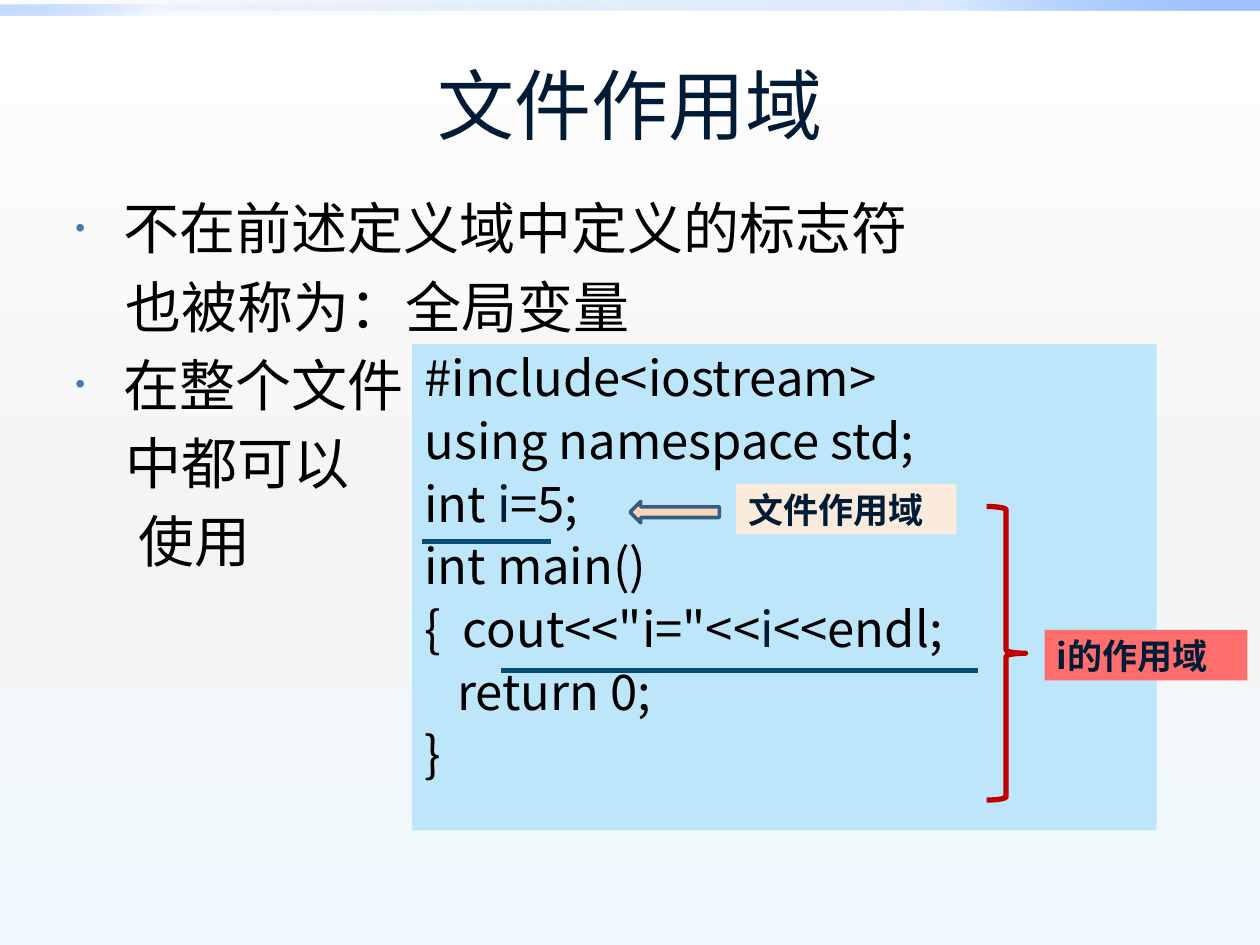
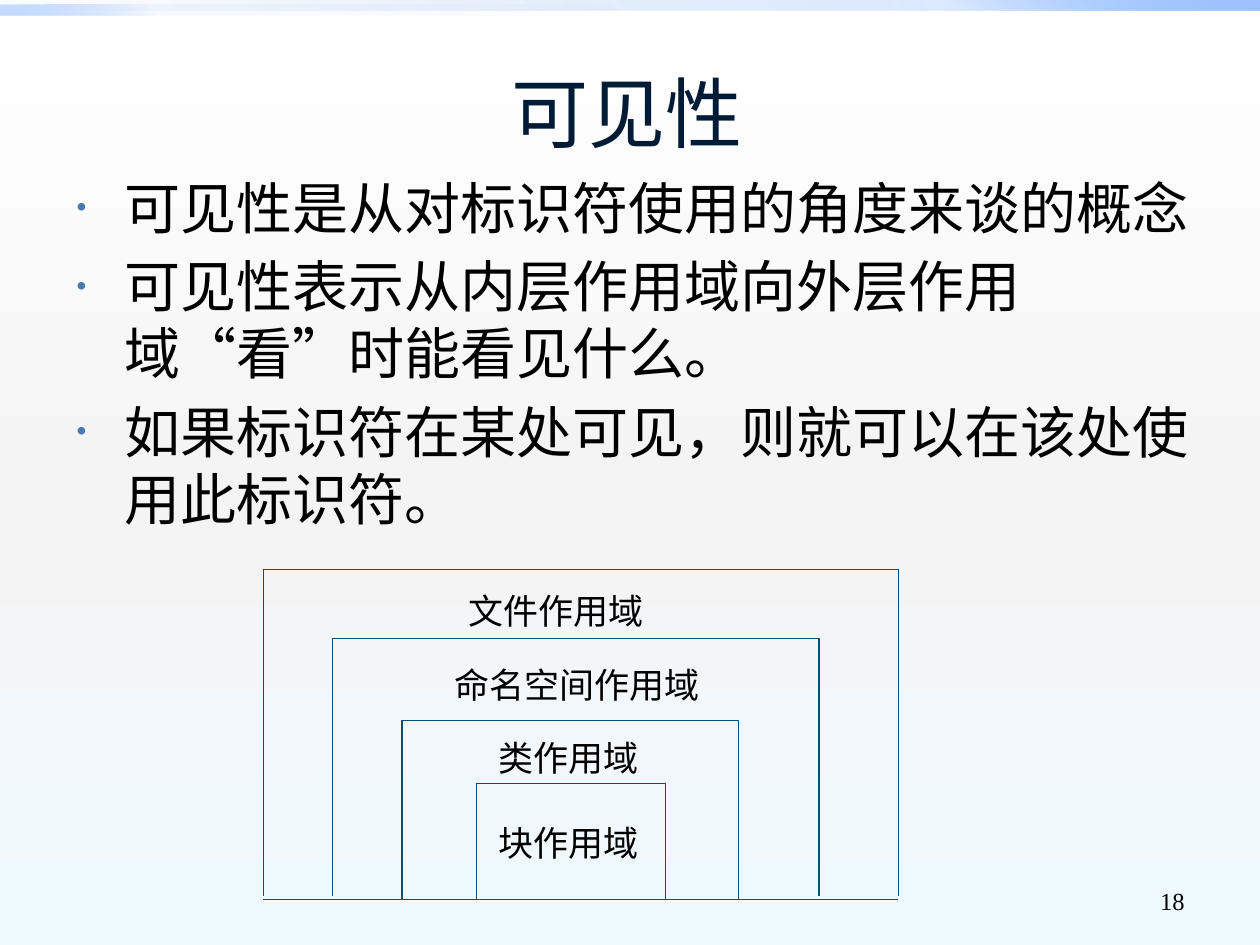
import dataclasses
import lxml.etree
import pptx
import pptx.dml.color
import pptx.enum.shapes
import pptx.enum.text
import pptx.oxml.ns
import pptx.util

Inches = pptx.util.Inches
Pt = pptx.util.Pt
qn = pptx.oxml.ns.qn
SHAPE = pptx.enum.shapes.MSO_SHAPE
ALIGN = pptx.enum.text.PP_ALIGN
ANCHOR = pptx.enum.text.MSO_ANCHOR


@dataclasses.dataclass(frozen=True)
class Theme:
    ink: str = "000000"
    navy: str = "001B36"
    line: str = "064E74"
    bullet: str = "477AB1"
    code_fill: str = "BEE6FB"
    tag_fill: str = "FAEBDD"
    arrow_fill: str = "F6D7BA"
    arrow_line: str = "355A83"
    scope_fill: str = "FF6D6D"
    brace: str = "C00000"
    backdrop: tuple = ((0, "FFFFFF", 100), (55, "F4F4F4", 100), (100, "EEF9FF", 100))
    wide_band: tuple = ((0, "0058B7", 0), (75, "4F95FF", 20), (100, "9EC2FF", 100))
    half_band: tuple = ((0, "0058B7", 0), (75, "4F95FF", 5), (100, "9EC2FF", 60))
    title_font: str = "Roboto"
    body_font: str = "Cambria"
    cjk_font: str = "Noto Sans CJK SC"
    label_font: str = "Times New Roman"
    title_size: int = 44
    body_size: int = 32
    code_size: int = 28
    label_size: int = 20
    number_size: int = 14


def rgb(value):
    return pptx.dml.color.RGBColor.from_string(value)


def add_xml(parent, tag, **attrs):
    return lxml.etree.SubElement(parent, qn(tag), {k: str(v) for k, v in attrs.items()})


class Deck:
    def __init__(self, theme):
        self.theme = theme
        self.prs = pptx.Presentation()
        self.prs.slide_width = Inches(10)
        self.prs.slide_height = Inches(7.5)
        self.s = None

    def new_slide(self):
        t = self.theme
        self.s = self.prs.slides.add_slide(self.prs.slide_layouts[6])
        self.gradient(self.s.background.fill, t.backdrop, 90)
        for top, width, stops, angle in ((0, 10, t.wide_band, 315), (0.04, 5, t.half_band, 135)):
            sp = self.shape(SHAPE.RECTANGLE, 0, top, width, 0.08)
            self.gradient(sp.fill, stops, angle)

    def gradient(self, fill, stops, angle):
        fill.gradient()
        grad = fill._fill._gradFill
        for child in list(grad):
            grad.remove(child)
        gs_list = add_xml(grad, "a:gsLst")
        for pos, color, alpha in stops:
            gs = add_xml(gs_list, "a:gs", pos=pos * 1000)
            clr = add_xml(gs, "a:srgbClr", val=color)
            if alpha < 100:
                add_xml(clr, "a:alpha", val=alpha * 1000)
        add_xml(grad, "a:lin", ang=angle * 60000, scaled=0)

    def style(self, sp, fill=None, line=None, weight=0.75):
        sp.shadow.inherit = False
        if fill:
            sp.fill.solid()
            sp.fill.fore_color.rgb = rgb(fill)
        else:
            sp.fill.background()
        if line:
            sp.line.color.rgb = rgb(line)
            sp.line.width = Pt(weight)
        else:
            sp.line.fill.background()
        return sp

    def shape(self, kind, left, top, width, height, **look):
        sp = self.s.shapes.add_shape(kind, Inches(left), Inches(top), Inches(width), Inches(height))
        return self.style(sp, **look)

    def frame(self, sp, anchor):
        tf = sp.text_frame
        tf.word_wrap = True
        tf.vertical_anchor = anchor
        return tf

    def font(self, r, name, size, color, bold=False):
        r.font.name = name
        r.font.size = Pt(size)
        r.font.bold = bold
        r.font.color.rgb = rgb(color)
        add_xml(r._r.get_or_add_rPr(), "a:ea", typeface=self.theme.cjk_font)

    def text(self, text, left, top, width, height, name, size, color,
             align=ALIGN.LEFT, bold=False, fill=None):
        if fill:
            sp = self.shape(SHAPE.RECTANGLE, left, top, width, height, fill=fill)
        else:
            sp = self.s.shapes.add_textbox(Inches(left), Inches(top), Inches(width), Inches(height))
        p = self.frame(sp, ANCHOR.MIDDLE).paragraphs[0]
        p.text = text
        p.alignment = align
        self.font(p.runs[0], name, size, color, bold)

    def title(self, text, left, top, width, height):
        t = self.theme
        self.text(text, left, top, width, height, t.title_font, t.title_size, t.navy, ALIGN.CENTER)

    def tag(self, text, left, top, width, fill):
        t = self.theme
        self.text(text, left, top, width, 0.4, t.cjk_font, t.label_size, t.navy, bold=True, fill=fill)

    def label(self, text, left, top, width):
        t = self.theme
        self.text(text, left, top, width, 0.43, t.label_font, t.label_size, t.ink)

    def page_number(self, text):
        t = self.theme
        self.text(text, 7.17, 6.95, 2.33, 0.4, t.label_font, t.number_size, t.ink, ALIGN.RIGHT)

    def paragraphs(self, tf, count, size, spacing):
        for i in range(count):
            p = tf.paragraphs[0] if i == 0 else tf.add_paragraph()
            p.alignment = ALIGN.LEFT
            p.line_spacing = Pt(spacing)
            p.space_before = Pt(size * 0.2 if i else 0)
            yield p

    def body(self, items, left, top, width, height):
        t = self.theme
        sp = self.s.shapes.add_textbox(Inches(left), Inches(top), Inches(width), Inches(height))
        tf = self.frame(sp, ANCHOR.TOP)
        tf.margin_top = Inches(0.07)
        for p, (text, indent) in zip(self.paragraphs(tf, len(items), t.body_size, 38.3), items):
            pPr = p._p.get_or_add_pPr()
            pPr.set("marL", str(Inches(indent or 0.38)))
            if not indent:
                pPr.set("indent", str(-Inches(0.38)))
                add_xml(add_xml(pPr, "a:buClr"), "a:srgbClr", val=t.bullet)
                add_xml(pPr, "a:buSzPct", val=50000)
                add_xml(pPr, "a:buFont", typeface="Arial")
                add_xml(pPr, "a:buChar", char="•")
            p.text = text
            self.font(p.runs[0], t.body_font, t.body_size, t.ink)

    def code(self, lines, left, top, width, height):
        t = self.theme
        sp = self.shape(SHAPE.RECTANGLE, left, top, width, height, fill=t.code_fill)
        tf = self.frame(sp, ANCHOR.TOP)
        tf.margin_top = Inches(0.08)
        for p, parts in zip(self.paragraphs(tf, len(lines), t.code_size, 30.2), lines):
            for i, part in enumerate(parts):
                r = p.add_run()
                r.text = part
                self.font(r, t.cjk_font, t.code_size, t.navy if i % 2 else t.ink)

    def rule(self, left, right, y, weight):
        c = self.s.shapes.add_connector(
            pptx.enum.shapes.MSO_CONNECTOR.STRAIGHT,
            Inches(left), Inches(y), Inches(right), Inches(y))
        c.line.color.rgb = rgb(self.theme.line)
        c.line.width = Pt(weight)
        add_xml(c._element.spPr, "a:effectLst")

    def open_box(self, left, top, right, bottom):
        fb = self.s.shapes.build_freeform(Inches(left), Inches(bottom))
        corners = ((left, top), (right, top), (right, bottom))
        fb.add_line_segments([(Inches(x), Inches(y)) for x, y in corners], close=False)
        self.style(fb.convert_to_shape(), line=self.theme.line)


def file_scope_slide(deck):
    t = deck.theme
    deck.new_slide()
    deck.title("文件作用域", 0.5, 0.36, 9, 0.93)
    deck.body([
        ("不在前述定义域中定义的标志符", None),
        ("也被称为：全局变量", 0.4),
        ("在整个文件", None),
        ("中都可以", 0.4),
        ("使用", 0.5),
    ], 0.5, 1.47, 9, 3.78)
    deck.code([
        ("#include<iostream>",),
        ("using namespace std;",),
        ("int ", "i", "=5;"),
        ("int main()",),
        ('{  cout<<"i="<<', "i", "<<endl;"),
        ("   return 0;",),
        ("}",),
    ], 3.27, 2.73, 5.91, 3.86)
    deck.rule(3.35, 4.37, 4.3, 3)
    deck.rule(3.98, 7.76, 5.32, 3)
    deck.tag("文件作用域", 5.84, 3.84, 1.75, t.tag_fill)
    deck.shape(SHAPE.LEFT_ARROW, 5, 3.98, 0.71, 0.17,
               fill=t.arrow_fill, line=t.arrow_line, weight=2)
    deck.shape(SHAPE.RIGHT_BRACE, 7.83, 4.02, 0.31, 2.33, line=t.brace, weight=3)
    deck.tag("i的作用域", 8.29, 5, 1.61, t.scope_fill)


def visibility_slide(deck):
    deck.new_slide()
    deck.title("可见性", 1.06, 0.44, 7.83, 0.9)
    deck.body([
        ("可见性是从对标识符使用的角度来谈的概念", None),
        ("可见性表示从内层作用域向外层作用域“看”时能看见什么。", None),
        ("如果标识符在某处可见，则就可以在该处使用此标识符。", None),
    ], 0.51, 1.31, 9.17, 3.07)
    deck.page_number("18")
    deck.rule(2.09, 7.13, 7.14, 0.75)
    scopes = [
        ("文件作用域", (2.09, 4.52, 7.13, 7.11), (3.62, 4.63, 1.77)),
        ("命名空间作用域", (2.64, 5.07, 6.5, 7.11), (3.51, 5.22, 2.19)),
        ("类作用域", (3.19, 5.72, 5.86, 7.14), (3.86, 5.8, 1.58)),
        ("块作用域", (3.78, 6.22, 5.28, 7.14), (3.86, 6.47, 1.33)),
    ]
    for name, box, place in scopes:
        deck.open_box(*box)
        deck.label(name, *place)


def main():
    deck = Deck(Theme())
    file_scope_slide(deck)
    visibility_slide(deck)
    deck.prs.save("out.pptx")


if __name__ == "__main__":
    main()
